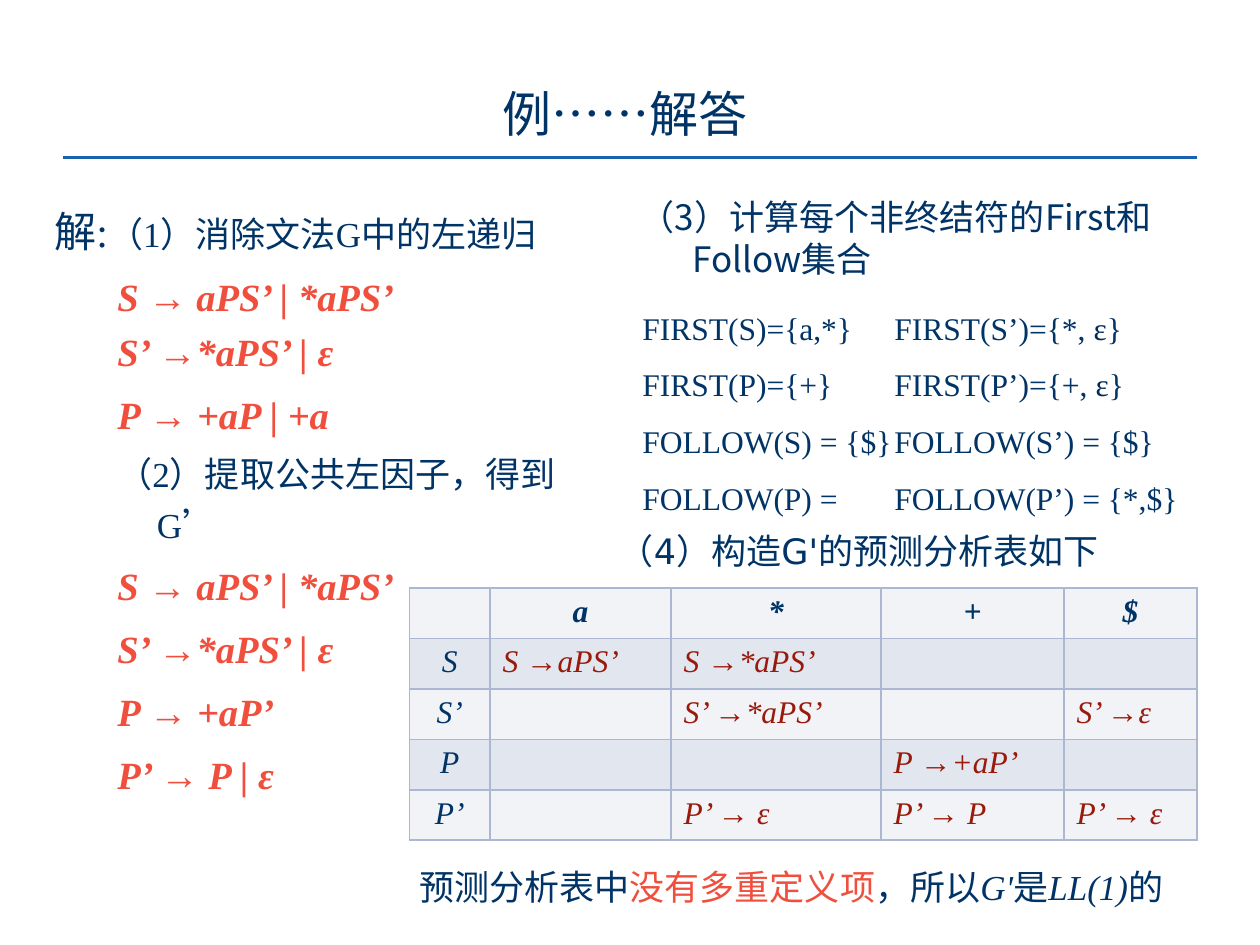
import pptx
import pptx.util
import pptx.dml.color
import pptx.enum.shapes
import pptx.enum.text
import pptx.oxml.ns
from lxml import etree

Pt = pptx.util.Pt
ALIGN = pptx.enum.text.PP_ALIGN
ANCHOR = pptx.enum.text.MSO_ANCHOR

COLORS = {
    "navy": "003366", "epsilon": "002A56", "red": "F14F3D", "maroon": "99190B",
    "rule": "1B61AD", "border": "ABB7D3", "light": "F1F3F7", "shade": "E2E6EF",
}
TIMES, SANS, CJK_SC, CJK_JP = (
    "Times New Roman", "DejaVu Sans", "Noto Sans CJK SC", "Noto Sans CJK JP")

# Content: a paragraph is a list of (text, run format)
TITLE = "例……解答"
STEP_1 = [("解:", {"size": 24}), ("（1）消除文法G中的左递归", {})]
STEP_2 = "（2）提取公共左因子，得到G’"
STEP_3 = "（3）计算每个非终结符的First和Follow集合"
STEP_4 = "（4）构造G'的预测分析表如下"
LEFT_RECURSION_FREE = ["S → aPS’ | *aPS’", "S’ →*aPS’ | ε", "P → +aP | +a"]
LEFT_FACTORED = ["S → aPS’ | *aPS’", "S’ →*aPS’ | ε", "P → +aP’", "P’ → P | ε"]
EPSILON = {"color": "epsilon"}
# Each line of sets with the tab position of its second set
SETS = [
    (142, [("FIRST(S)={a,*}\tFIRST(S’)={*, ", {}), ("ε", EPSILON), ("}", {})]),
    (140, [("FIRST(P)={+}\tFIRST(P’)={+,", {}), (" ε", EPSILON), ("}", {})]),
    (151, [("FOLLOW(S) = {$}\tFOLLOW(S’) = {$}", {})]),
    (120, [("FOLLOW(P) =\tFOLLOW(P’) = {*,$}", {})]),
]
ITALIC_TIMES = {"font": TIMES, "italic": True}
CONCLUSION = [
    ("预测分析表中", {}), ("没有多重定义项", {"color": "red"}), ("，所以", {}),
    ("G'", ITALIC_TIMES), ("是", {}), ("LL(1)", ITALIC_TIMES), ("的", {}),
]
PARSE_TABLE = [
    ["", "a", "*", "+", "$"],
    ["S", "S →aPS’", "S →*aPS’", "", ""],
    ["S’", "", "S’ →*aPS’", "", "S’ →ε"],
    ["P", "", "", "P →+aP’", ""],
    ["P’", "", "P’ → ε", "P’ → P", "P’ → ε"],
]
COLUMN_WIDTHS = [46, 103.5, 120, 104.5, 76]
ROW_HEIGHT = 28.8

presentation = pptx.Presentation()
presentation.slide_width, presentation.slide_height = Pt(720), Pt(540)
slide = presentation.slides.add_slide(presentation.slide_layouts[6])


def rgb(name):
    return pptx.dml.color.RGBColor.from_string(COLORS[name])


def add_xml(parent, tag, **attributes):
    return etree.SubElement(parent, pptx.oxml.ns.qn(tag), attributes)


def write(frame, content, size=20, font=TIMES, color="navy", bold=False,
          italic=False, align=ALIGN.LEFT, level=0, margin=0, indent=0,
          spacing=1.0, before=0, tab=None):
    """Write one paragraph, filling the empty first one before adding more."""
    first = frame.paragraphs[0]
    paragraph = frame.add_paragraph() if first.runs else first
    properties = paragraph._p.get_or_add_pPr()
    properties.set("marL", str(Pt(margin)))
    properties.set("indent", str(Pt(indent)))
    if tab:
        stops = add_xml(properties, "a:tabLst")
        add_xml(stops, "a:tab", pos=str(Pt(tab)), algn="l")
    paragraph.alignment = align
    paragraph.level = level
    paragraph.line_spacing = spacing
    paragraph.space_before = Pt(before)
    base = {"size": size, "font": font, "color": color, "bold": bold, "italic": italic}
    for text, changes in [(content, {})] if isinstance(content, str) else content:
        style = {**base, **changes}
        run = paragraph.add_run()
        run.text = text
        run.font.size = Pt(style["size"])
        run.font.bold, run.font.italic = style["bold"], style["italic"]
        run.font.color.rgb = rgb(style["color"])
        run.font.name = style["font"]
        east_asian = CJK_JP if style["font"] == CJK_JP else CJK_SC
        add_xml(run._r.get_or_add_rPr(), "a:ea", typeface=east_asian)


def add_frame(left, top, width, height, anchor=ANCHOR.TOP):
    frame = slide.shapes.add_textbox(Pt(left), Pt(top), Pt(width), Pt(height)).text_frame
    frame.word_wrap = True
    frame.vertical_anchor = anchor
    return frame


# Title and rule
rule = slide.shapes.add_connector(
    pptx.enum.shapes.MSO_CONNECTOR.STRAIGHT, Pt(36), Pt(90), Pt(684), Pt(90))
rule.line.color.rgb = rgb("rule")
rule.line.width = Pt(2.25)
add_xml(rule._element.spPr, "a:effectLst")
write(add_frame(66, 42, 582, 44.5, ANCHOR.MIDDLE), TITLE, size=28, font=CJK_SC,
      align=ALIGN.CENTER)

# Steps 1 and 2: grammar rewriting
grammar = add_frame(24, 108, 330, 342)
nested = {"level": 1, "margin": 58.5, "indent": -22.5, "spacing": 1.2}
production = {**nested, "size": 22, "color": "red", "bold": True, "italic": True}
write(grammar, STEP_1, margin=27, indent=-27, spacing=1.2)
for rewritten, gap in zip(LEFT_RECURSION_FREE, (4.4, 0, 4.4)):
    write(grammar, rewritten, before=gap, **production)
write(grammar, STEP_2, before=4, **nested)
for rewritten in LEFT_FACTORED:
    write(grammar, rewritten, before=4.4, **production)

# Steps 3 and 4: sets and table heading
hanging = {"level": 1, "margin": 70.5, "indent": -30}
write(add_frame(306, 294, 342, 42), STEP_4, font=SANS, spacing=1.2, **hanging)
sets = add_frame(360, 162, 342, 138)
for tab, line in SETS:
    write(sets, line, size=18, spacing=1.5, tab=tab)

# Predictive parsing table
parse_table = slide.shapes.add_table(
    len(PARSE_TABLE), len(COLUMN_WIDTHS), Pt(234), Pt(336),
    Pt(sum(COLUMN_WIDTHS)), Pt(ROW_HEIGHT * len(PARSE_TABLE))).table
parse_table.first_row = parse_table.horz_banding = False
for column, width in zip(parse_table.columns, COLUMN_WIDTHS):
    column.width = Pt(width)
for r, entries in enumerate(PARSE_TABLE):
    parse_table.rows[r].height = Pt(ROW_HEIGHT)
    for c, entry in enumerate(entries):
        cell = parse_table.cell(r, c)
        for side in ("a:lnL", "a:lnR", "a:lnT", "a:lnB"):
            border = add_xml(cell._tc.get_or_add_tcPr(), side, w=str(Pt(1)))
            add_xml(add_xml(border, "a:solidFill"), "a:srgbClr", val=COLORS["border"])
        cell.fill.solid()
        cell.fill.fore_color.rgb = rgb("shade" if r % 2 else "light")
        heading = r == 0 or c == 0
        if entry:
            write(cell.text_frame, entry, size=18, italic=True, bold=r == 0,
                  color="navy" if heading else "maroon",
                  align=ALIGN.CENTER if heading else ALIGN.LEFT)

# Step 3 heading and conclusion
write(add_frame(318, 108, 378, 60), STEP_3, font=CJK_JP, **hanging)
write(add_frame(192, 486, 516, 42), CONCLUSION, font=SANS, spacing=1.2, **hanging)

presentation.save("out.pptx")
